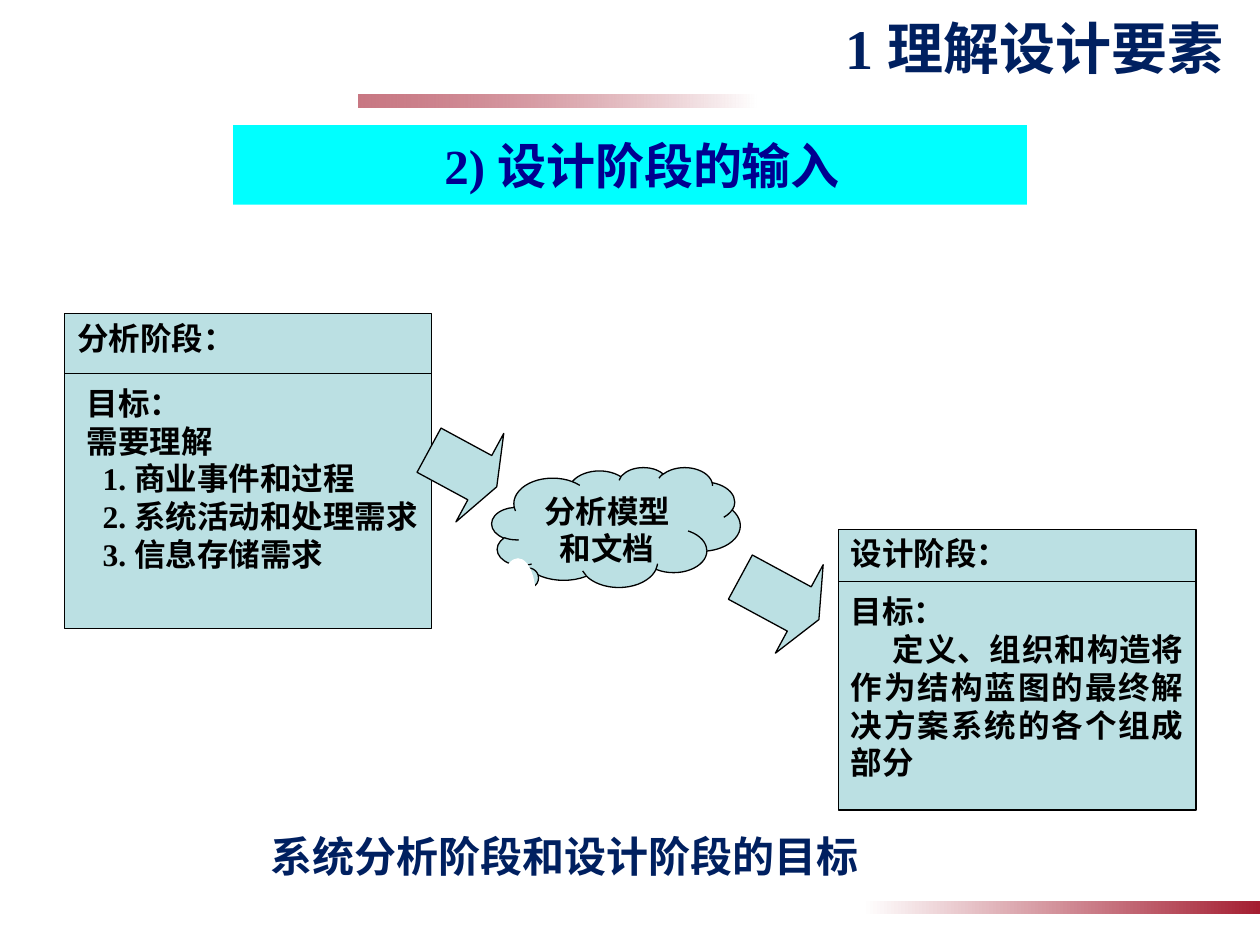
import pptx
import pptx.util
from lxml import etree
from pptx.dml.color import RGBColor
from pptx.enum.shapes import MSO_CONNECTOR, MSO_SHAPE
from pptx.enum.text import MSO_ANCHOR, MSO_AUTO_SIZE, PP_ALIGN
from pptx.oxml.ns import qn

Pt = pptx.util.Pt

COLORS = {
    "white": "FFFFFF",
    "black": "000000",
    "red": "A41E31",
    "panel": "BBE0E3",
    "navy": "002060",
    "banner": "00FFFF",
    "banner_text": "000090",
}
FONT = "Times New Roman"
INSETS = (7.2, 3.6, 7.2, 3.6)


def rgb(name):
    return RGBColor.from_string(COLORS[name])


def set_text(sp, lines, size=18, color="black", align=PP_ALIGN.LEFT,
             anchor=MSO_ANCHOR.TOP, insets=INSETS):
    """Fill a shape with lines, each a (text, left margin, first-line indent) tuple."""
    tf = sp.text_frame
    tf.word_wrap = True
    tf.auto_size = MSO_AUTO_SIZE.NONE
    tf.vertical_anchor = anchor
    tf.margin_left, tf.margin_top, tf.margin_right, tf.margin_bottom = map(Pt, insets)
    for i, (text, margin, indent) in enumerate(lines):
        p = tf.add_paragraph() if i else tf.paragraphs[0]
        p.text = text
        p.alignment = align
        pPr = p._p.get_or_add_pPr()
        pPr.set("marL", str(Pt(margin)))
        pPr.set("indent", str(Pt(indent)))
        p.font.name = FONT
        p.font.size = Pt(size)
        p.font.bold = True
        p.font.color.rgb = rgb(color)


def add_text(s, box, lines, **style):
    sp = s.shapes.add_textbox(*map(Pt, box))
    set_text(sp, lines, **style)


def add_shape(s, kind, box, fill, outlined=True):
    sp = s.shapes.add_shape(kind, *map(Pt, box))
    sp.shadow.inherit = False
    sp.fill.solid()
    sp.fill.fore_color.rgb = rgb(fill)
    if outlined:
        sp.line.color.rgb = rgb("black")
        sp.line.width = Pt(0.75)
    else:
        sp.line.fill.background()
    return sp


def add_fading_bar(s, box, rotation=0, opacity=100):
    sp = add_shape(s, MSO_SHAPE.RECTANGLE, box, "white", outlined=False)
    sp.rotation = rotation
    sp.fill.gradient()
    sp.fill.gradient_angle = 0
    for stop, color in zip(sp.fill.gradient_stops, ("white", "red")):
        stop.color.rgb = rgb(color)
    if opacity < 100:
        end_color = sp._element.spPr.findall(".//" + qn("a:srgbClr"))[-1]
        etree.SubElement(end_color, qn("a:alpha")).set("val", str(opacity * 1000))


def add_phase_panel(s, box, heading, header_h, lines, body_dx, body_w, align):
    """Draw a box with a heading, a divider under it and the phase's goal."""
    x, y, w, h = box
    divider_y = y + header_h
    add_shape(s, MSO_SHAPE.RECTANGLE, box, "panel")
    line = s.shapes.add_connector(MSO_CONNECTOR.STRAIGHT, Pt(x), Pt(divider_y),
                                  Pt(x + w), Pt(divider_y))
    line.line.color.rgb = rgb("black")
    line.line.width = Pt(0.75)
    etree.SubElement(line._element.spPr, qn("a:effectLst"))
    add_text(s, (x, y - 0.7, 108, 29), [(heading, 0, 0)])
    add_text(s, (x + body_dx, divider_y + 2.5, body_w, 116.5), lines, align=align)


def add_cloud(s, box, text):
    """Draw the cloud and hide its trail of bubbles."""
    x, y, w, h = box
    sp = add_shape(s, MSO_SHAPE.CLOUD_CALLOUT, box, "panel")
    sp.adjustments[0] = -0.44
    sp.adjustments[1] = 0.53
    set_text(sp, [(text, 0, 0)], align=PP_ALIGN.CENTER)
    add_shape(s, MSO_SHAPE.OVAL, (x + 5, y + 52, 20, 41), "white", outlined=False)


def add_flow_arrow(s, box):
    sp = add_shape(s, MSO_SHAPE.RIGHT_ARROW, box, "panel")
    sp.adjustments[0] = 0.5
    sp.adjustments[1] = 0.25
    sp.rotation = 28.4


def add_banner(s, box, text):
    sp = add_shape(s, MSO_SHAPE.RECTANGLE, box, "banner", outlined=False)
    set_text(sp, [(text, 0, 0)], size=28, color="banner_text",
             align=PP_ALIGN.CENTER, insets=(21, 5.76, 7.2, 5.76))


def place_title(s, box, text):
    sp = s.shapes.title
    sp.left, sp.top, sp.width, sp.height = map(Pt, box)
    set_text(sp, [(text, 0, 0)], size=24, color="navy", align=PP_ALIGN.RIGHT,
             insets=(5.76, 2.88, 5.76, 3.6))


def main():
    prs = pptx.Presentation()
    prs.slide_width, prs.slide_height = Pt(720), Pt(540)
    s = prs.slides.add_slide(prs.slide_layouts[5])

    add_fading_bar(s, (205, 54, 227, 7.2), rotation=180, opacity=60)
    add_fading_bar(s, (493, 515, 227, 7.2))
    add_phase_panel(
        s, (37, 179.3, 209.5, 180), "分析阶段：", 34,
        [("目标：", 0, 0), ("需要理解", 0, 0), ("1. 商业事件和过程", 9, 0),
         ("2. 系统活动和处理需求", 9, 0), ("3. 信息存储需求", 9, 0)],
        body_dx=5.5, body_w=215, align=PP_ALIGN.LEFT)
    add_phase_panel(
        s, (479, 302.4, 204.5, 160.5), "设计阶段：", 30,
        [("目标：", 0, 0),
         ("定义、组织和构造将作为结构蓝图的最终解决方案系统的各个组成部分", 0, 24)],
        body_dx=0, body_w=204.5, align=PP_ALIGN.JUSTIFY)
    add_cloud(s, (281, 267, 142, 68.5), "分析模型和文档")
    add_flow_arrow(s, (242.5, 239, 44, 57.5))
    add_flow_arrow(s, (420, 313.2, 51, 57.5))
    add_text(s, (47.5, 3.6, 659, 47), [("1 理解设计要素", 0, 0)], size=32,
             color="navy", align=PP_ALIGN.RIGHT, anchor=MSO_ANCHOR.MIDDLE)
    add_banner(s, (133.2, 71.5, 453.6, 45.5), "2) 设计阶段的输入")
    place_title(s, (140.4, 471.6, 355.7, 64.8), "系统分析阶段和设计阶段的目标")

    prs.save("out.pptx")


if __name__ == "__main__":
    main()
